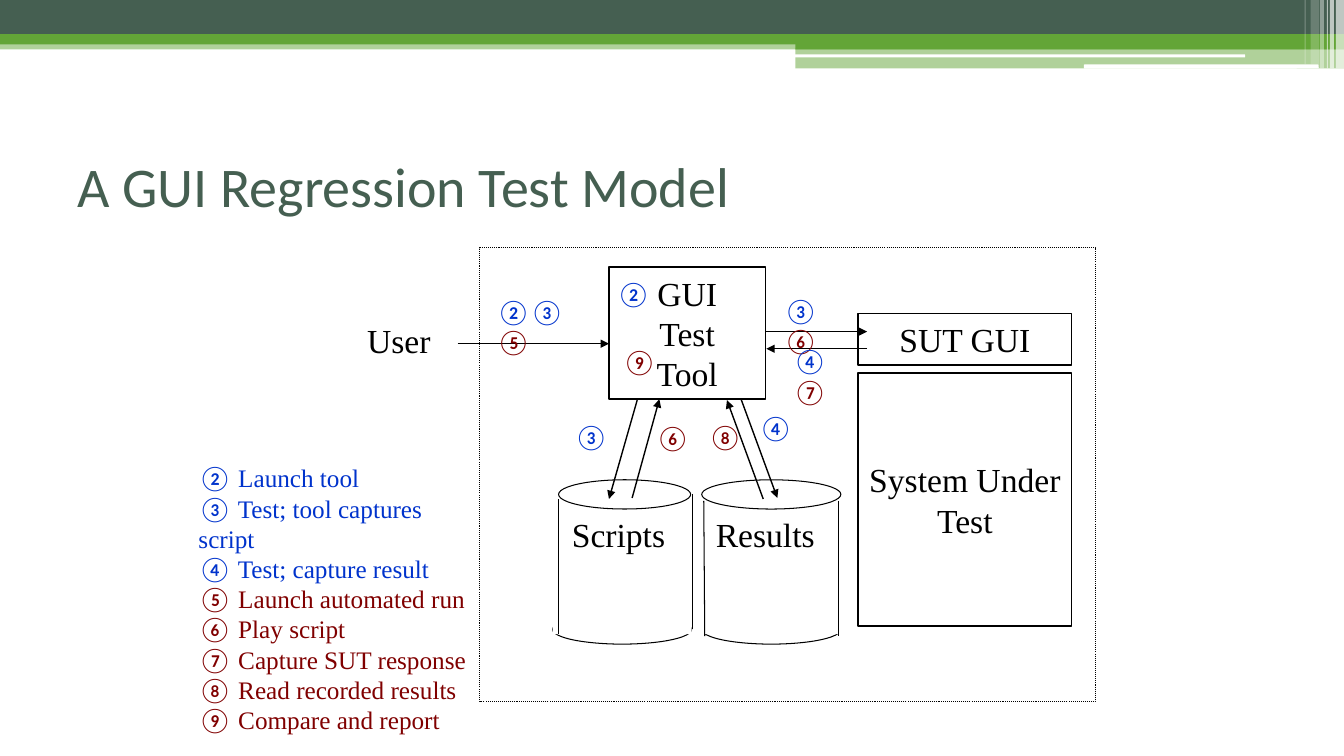
import pptx
import pptx.util
import pptx.dml.color
import pptx.enum.dml
import pptx.enum.shapes
import pptx.enum.text
import pptx.oxml.ns
import lxml.etree

Inches = pptx.util.Inches
Pt = pptx.util.Pt
RGBColor = pptx.dml.color.RGBColor
SHAPE = pptx.enum.shapes.MSO_SHAPE
ALIGN = pptx.enum.text.PP_ALIGN
MIDDLE = pptx.enum.text.MSO_ANCHOR.MIDDLE
TOP = pptx.enum.text.MSO_ANCHOR.TOP
qn = pptx.oxml.ns.qn

BLACK = RGBColor(0, 0, 0)
WHITE = RGBColor(255, 255, 255)
SLATE = RGBColor(0x45, 0x5F, 0x51)
GREEN = RGBColor(0x63, 0xA5, 0x37)
BLUE = RGBColor(0x00, 0x33, 0xCC)
MAROON = RGBColor(0x80, 0x00, 0x00)
SERIF = "Times New Roman"
SANS = "Calibri"

deck = pptx.Presentation()
deck.slide_width = Inches(13.33)
deck.slide_height = Inches(7.5)
page = deck.slides.add_slide(deck.slide_layouts[5])


def add_box(kind, place, fill=None, line_width=None, opacity=100):
    box = page.shapes.add_shape(kind, *[Inches(length) for length in place])
    box.shadow.inherit = False
    if fill is None:
        box.fill.background()
    else:
        box.fill.solid()
        box.fill.fore_color.rgb = fill
        if opacity < 100:
            color = box.fill._xPr.find(qn("a:solidFill"))[0]
            lxml.etree.SubElement(color, qn("a:alpha"), val=str(opacity * 1000))
    if line_width is None:
        box.line.fill.background()
    else:
        box.line.color.rgb = BLACK
        box.line.width = Pt(line_width)
    return box


def write_text(box, lines, size, align=ALIGN.LEFT, anchor=TOP, wrap=True):
    """Each line is a list of (text, font name, colour) spans."""
    frame = box.text_frame
    frame.word_wrap = wrap
    frame.vertical_anchor = anchor
    for number, line in enumerate(lines):
        para = frame.add_paragraph() if number else frame.paragraphs[0]
        para.alignment = align
        for text, font_name, color in line:
            span = para.add_run()
            span.text = text
            for name, value in {"name": font_name, "size": Pt(size)}.items():
                setattr(span.font, name, value)
            span.font.color.rgb = color


# Header bands: shape, place, fill, opacity
bands = [
    (SHAPE.RECTANGLE, (0, 0.4, 13.33, 0.09), GREEN, 50),
    (SHAPE.RECTANGLE, (0, 0, 13.33, 0.34), SLATE, 100),
    (SHAPE.RECTANGLE, (0, 0.34, 13.33, 0.1), GREEN, 100),
    (SHAPE.RECTANGLE, (7.89, 0.39, 5.44, 0.1), GREEN, 100),
    (SHAPE.RECTANGLE, (7.89, 0.48, 5.44, 0.2), GREEN, 50),
    (SHAPE.ROUNDED_RECTANGLE, (7.88, 0.54, 4.47, 0.03), WHITE, 100),
    (SHAPE.ROUNDED_RECTANGLE, (10.75, 0.64, 2.33, 0.04), WHITE, 100),
]
for kind, place, fill, opacity in bands:
    add_box(kind, place, fill, opacity=opacity)

# Pale stripes at the right end: left, width, height, opacity
stripes = [
    (13.25, 0.08, 0.68, 65), (13.19, 0.04, 0.68, 65), (13.16, 0.01, 0.68, 60),
    (13.09, 0.04, 0.68, 40), (13, 0.08, 0.64, 20), (12.94, 0.01, 0.64, 30),
]
for left, width, height, opacity in stripes:
    add_box(SHAPE.RECTANGLE, (left, 0, width, height), WHITE, opacity=opacity)

# Title
title = page.shapes.title
title_place = {"left": 0.67, "top": 1.25, "width": 12, "height": 1.17}
for name, length in title_place.items():
    setattr(title, name, Inches(length))
write_text(title, [[("A GUI Regression Test Model", SANS, SLATE)]], 40, anchor=MIDDLE)

# System frame and boxes
frame_box = add_box(SHAPE.RECTANGLE, (4.76, 2.46, 6.11, 4.5), line_width=0.75)
frame_box.line.dash_style = pptx.enum.dml.MSO_LINE.ROUND_DOT
blocks = [
    (["GUI", "Test", "Tool"], (6.04, 2.65, 1.55, 1.31)),
    (["System Under Test"], (8.51, 3.7, 2.12, 2.51)),
    (["SUT GUI"], (8.51, 3.11, 2.12, 0.51)),
]
for words, place in blocks:
    block = add_box(SHAPE.RECTANGLE, place, line_width=1)
    write_text(block, [[(word, SERIF, BLACK)] for word in words], 24, ALIGN.CENTER, MIDDLE)

# Stores: bottom rim, top rim, then a white strip hiding the upper half of the bottom rim
stores = [
    ((5.48, 1.38), (5.54, 1.31), (5.48, 1.38)),
    ((6.96, 1.38), (6.96, 1.38), (6.95, 1.44)),
]
for bottom, top, strip in stores:
    add_box(SHAPE.OVAL, (bottom[0], 6.1, bottom[1], 0.29), WHITE, 0.75)
    add_box(SHAPE.OVAL, (top[0], 4.76, top[1], 0.29), WHITE, 0.75)
    add_box(SHAPE.RECTANGLE, (strip[0], 6, strip[1], 0.29), WHITE)

# Store sides and arrows: start, end, width, arrowhead at the end
links = [
    ((5.54, 4.95), (5.54, 6.29), 0.75, False),
    ((6.87, 4.9), (6.87, 6.24), 0.75, False),
    ((6.98, 4.97), (6.99, 6.31), 0.75, False),
    ((8.32, 4.97), (8.32, 6.31), 0.75, False),
    ((4.54, 3.41), (6.04, 3.41), 1, True),
    ((7.6, 3.29), (8.6, 3.29), 1, True),
    ((8.6, 3.46), (7.6, 3.46), 1, True),
    ((6.32, 3.97), (6.04, 4.95), 1, True),
    ((6.27, 4.94), (6.54, 3.96), 1, True),
    ((7.57, 4.95), (7.21, 3.97), 1, True),
    ((7.35, 3.96), (7.71, 4.94), 1, True),
]
for start, end, width, has_arrow in links:
    link = page.shapes.add_connector(
        pptx.enum.shapes.MSO_CONNECTOR.STRAIGHT,
        *[Inches(length) for length in start + end])
    link.line.color.rgb = BLACK
    link.line.width = Pt(width)
    if has_arrow:
        lxml.etree.SubElement(link.line._get_or_add_ln(), qn("a:tailEnd"), type="triangle")
    lxml.etree.SubElement(link._element.spPr, qn("a:effectLst"))

# Plain labels
labels = [
    ("User", (3.54, 3.12, 0.83, 0.5)),
    ("Scripts", (5.57, 5.05, 1.13, 0.5)),
    ("Results", (7, 5.05, 1.18, 0.5)),
]
for text, place in labels:
    label = page.shapes.add_textbox(*[Inches(length) for length in place])
    write_text(label, [[(text, SERIF, BLACK)]], 24, ALIGN.CENTER, wrap=False)

# Step numbers: left, top, width, blue steps, maroon steps
markers = [
    (6.02, 2.71, 0.45, "②", ""), (4.83, 2.89, 0.95, "②③", "⑤"),
    (7.68, 2.88, 0.7, "③", "⑥"), (5.6, 4.13, 0.45, "③", ""),
    (7.77, 3.38, 0.7, "④", "⑦"), (7.43, 4.04, 0.45, "④", ""),
    (6.41, 4.14, 0.45, "", "⑥"), (6.93, 4.13, 0.45, "", "⑧"),
    (6.08, 3.39, 0.45, "", "⑨"),
]
for left, top, width, capture, replay in markers:
    marker = page.shapes.add_textbox(Inches(left), Inches(top), Inches(width), Inches(0.43))
    spans = [(capture, SANS, BLUE), (replay, SANS, MAROON)]
    write_text(marker, [[span for span in spans if span[0]]], 18)

# Legend
steps = [
    ("②", "Launch tool", BLUE),
    ("③", "Test; tool captures script", BLUE),
    ("④", "Test; capture result", BLUE),
    ("⑤", "Launch automated run", MAROON),
    ("⑥", "Play script", MAROON),
    ("⑦", "Capture SUT response", MAROON),
    ("⑧", "Read recorded results", MAROON),
    ("⑨", "Compare and report", MAROON),
]
legend = page.shapes.add_textbox(Inches(1.87), Inches(4.54), Inches(2.95), Inches(2.5))
write_text(legend, [[(number, SANS, color), (" " + step, SERIF, color)]
                    for number, step, color in steps], 18)

deck.save("out.pptx")
